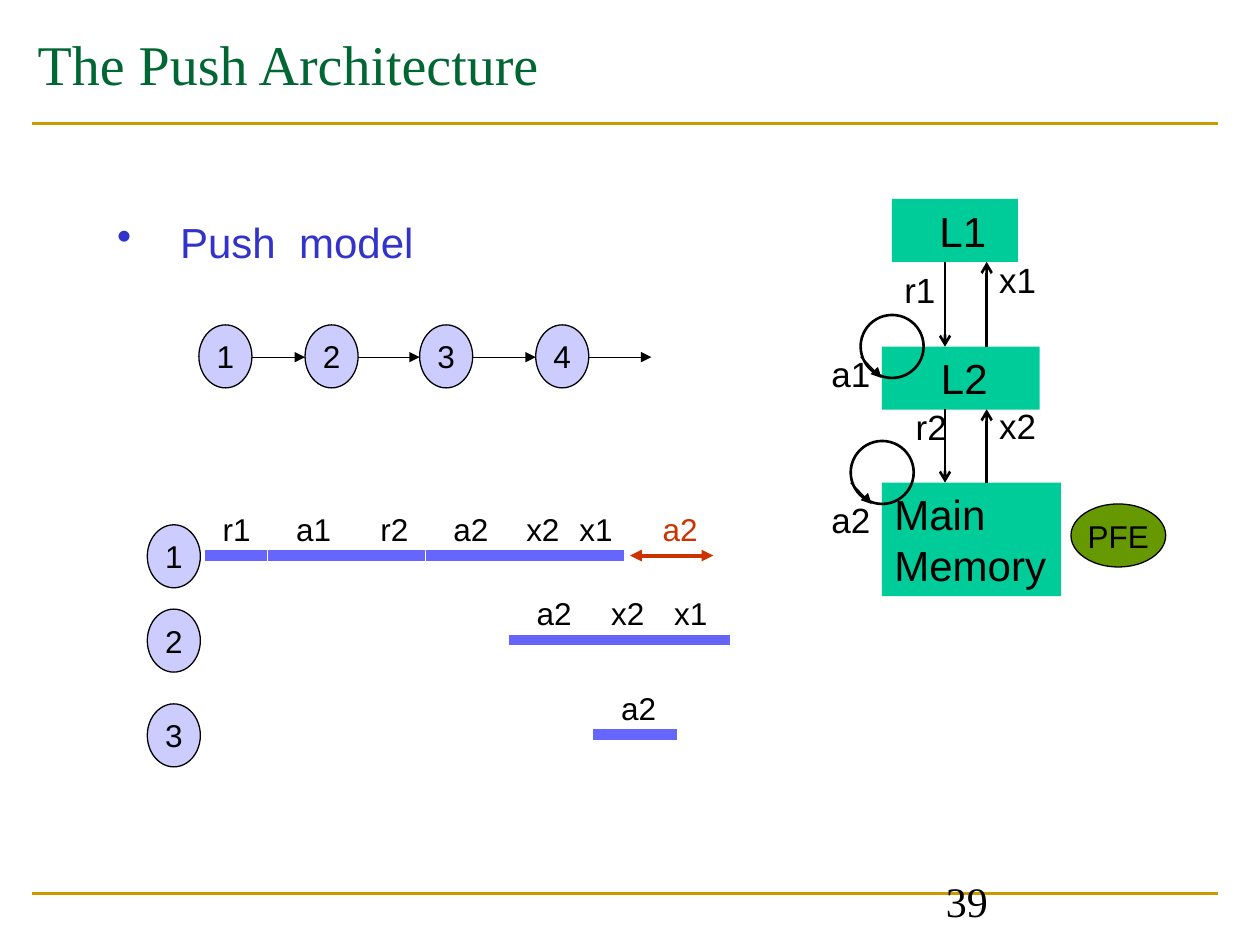
from lxml import etree
from pptx import Presentation
from pptx.dml.color import RGBColor
from pptx.enum.shapes import MSO_CONNECTOR, MSO_SHAPE
from pptx.enum.text import MSO_ANCHOR, PP_ALIGN
from pptx.oxml.ns import qn
from pptx.util import Cm, Pt

RECT, OVAL, STRAIGHT = MSO_SHAPE.RECTANGLE, MSO_SHAPE.OVAL, MSO_CONNECTOR.STRAIGHT
TOP, MIDDLE, BOTTOM = MSO_ANCHOR.TOP, MSO_ANCHOR.MIDDLE, MSO_ANCHOR.BOTTOM
LEFT, CENTER = PP_ALIGN.LEFT, PP_ALIGN.CENTER

BLACK = RGBColor(0x00, 0x00, 0x00)
GOLD = RGBColor(0xCC, 0x99, 0x00)
GREEN = RGBColor(0x00, 0x66, 0x33)
TEAL = RGBColor(0x00, 0xCC, 0x99)
OLIVE = RGBColor(0x66, 0x99, 0x00)
BLUE = RGBColor(0x33, 0x33, 0xCC)
LILAC = RGBColor(0xCC, 0xCC, 0xFF)
VIOLET = RGBColor(0x66, 0x66, 0xFF)
RED = RGBColor(0xCC, 0x33, 0x00)

SANS, SERIF = "Arial", "Times New Roman"
NODE_W, NODE_H = 1.07, 1.27
LOOP = 1.27


def write(sp, text, size=18, font=SANS, color=BLACK, align=LEFT, anchor=TOP,
          wrap=False, indent=0, bullet=None):
    """Put one paragraph of formatted text into a shape."""
    tf = sp.text_frame
    tf.word_wrap = wrap
    tf.vertical_anchor = anchor
    tf.margin_left = Cm(0.25 + indent)
    p = tf.paragraphs[0]
    p.alignment = align
    if bullet:
        pPr = p._p.get_or_add_pPr()
        pPr.set("marL", str(Cm(1.27)))
        pPr.set("indent", str(-Cm(1.27)))
        etree.SubElement(pPr, qn("a:buChar")).set("char", bullet)
    r = p.add_run()
    r.text = text
    r.font.size = Pt(size)
    r.font.name = font
    r.font.color.rgb = color


class Sketch:
    """Draws on one slide; all lengths are in centimetres."""

    label_widths = {"r": 1.07, "a": 1.22, "x": 1.17}

    def __init__(self, slide):
        self.s = slide

    def text(self, x, y, w, h, text, **fmt):
        write(self.s.shapes.add_textbox(Cm(x), Cm(y), Cm(w), Cm(h)), text, **fmt)

    def label(self, x, y, text, size=18, color=BLACK):
        w = self.label_widths[text[0]] * (1.07 if size == 20 else 1)
        self.text(x, y, w, size * 0.056, text, size=size, color=color)

    def shape(self, kind, x, y, w, h, fill=None, line=None, weight=0.75):
        sp = self.s.shapes.add_shape(kind, Cm(x), Cm(y), Cm(w), Cm(h))
        sp.shadow.inherit = False
        if fill is None:
            sp.fill.background()
        else:
            sp.fill.solid()
            sp.fill.fore_color.rgb = fill
        if line is None:
            sp.line.fill.background()
        else:
            sp.line.color.rgb = line
            sp.line.width = Pt(weight)
        return sp

    def box(self, x, y, w, h, text, indent=0):
        write(self.shape(RECT, x, y, w, h, TEAL), text, size=24, wrap=True, indent=indent)

    def oval(self, x, y, text, w=NODE_W, fill=LILAC):
        write(self.shape(OVAL, x, y, w, NODE_H, fill, BLACK), text,
              align=CENTER, anchor=MIDDLE)

    def line(self, x1, y1, x2, y2, color=BLACK, weight=0.75, head=None, tail=None, cap=None):
        c = self.s.shapes.add_connector(STRAIGHT, Cm(x1), Cm(y1), Cm(x2), Cm(y2))
        c.line.color.rgb = color
        c.line.width = Pt(weight)
        spPr = c._element.spPr
        ln = spPr.find(qn("a:ln"))
        if cap:
            ln.set("cap", cap)
        for tag, end in (("a:headEnd", head), ("a:tailEnd", tail)):
            if end:
                etree.SubElement(ln, qn(tag)).set("type", end)
        etree.SubElement(spPr, qn("a:effectLst"))

    def loop(self, x, y):
        self.shape(OVAL, x, y, LOOP, LOOP, line=BLACK, weight=1.5)
        self.line(x, y + 0.84, x + 0.42, y + LOOP, tail="triangle")


def main():
    prs = Presentation()
    prs.slide_width, prs.slide_height = Cm(25.4), Cm(19.05)
    sk = Sketch(prs.slides.add_slide(prs.slide_layouts[6]))

    # Frame: rules, title, page number
    for y in (2.49, 18.01):
        sk.line(0.64, y, 24.56, y, GOLD, 1.5)
    sk.text(0.51, 0, 14.48, 2.54, "The Push Architecture", size=32, font=SERIF,
            color=GREEN, anchor=MIDDLE, wrap=True)
    sk.text(18.82, 17.55, 5.89, 1.24, "39", size=24, font=SERIF, anchor=BOTTOM, wrap=True)
    sk.text(2.11, 4.24, 13.13, 1.17, "Push  model", size=24, color=BLUE,
            wrap=True, bullet="•")

    # Linked list of nodes
    xs = [4.01, 6.15, 8.46, 10.8]
    for i, (x, end) in enumerate(zip(xs, xs[1:] + [13.13]), 1):
        sk.oval(x, 6.55, str(i))
        sk.line(x + NODE_W, 7.2, end, 7.2, tail="triangle")

    # Memory hierarchy
    sk.box(17.98, 4.01, 2.54, 1.27, "L1", indent=0.71)
    sk.box(17.78, 6.99, 3.18, 1.27, "L2", indent=0.94)
    sk.box(17.78, 9.73, 3.61, 2.29, "Main Memory")
    sk.oval(21.59, 10.16, "PFE", w=1.91, fill=OLIVE)
    for top, bottom in ((5.28, 6.99), (8.25, 9.73)):
        sk.line(19.05, top, 19.05, bottom, weight=1.5, tail="arrow")
        sk.line(19.89, bottom, 19.89, top, weight=1.5, tail="arrow")
    sk.loop(17.35, 6.35)
    sk.loop(17.15, 8.89)
    for text, x, y in (("r1", 17.98, 5.28), ("x1", 19.89, 5.08), ("a1", 16.51, 6.99),
                       ("r2", 18.21, 8.05), ("x2", 19.89, 8.03), ("a2", 16.51, 9.93)):
        sk.label(x, y, text, size=20)

    # Timeline: label, label left, bar start, bar end
    rows = [
        (10.16, [("r1", 4.24, 4.24, 5.28), ("a1", 5.72, 5.51, 6.99),
                 ("r2", 7.42, 7.19, 8.46), ("a2", 8.89, 8.69, 10.16),
                 ("x2", 10.36, 10.36, 11.43), ("x1", 11.43, 11.63, 12.47)]),
        (11.86, [("a2", 10.57, 10.36, 11.84), ("x2", 12.07, 12.07, 13.11),
                 ("x1", 13.34, 13.34, 14.61)]),
        (13.77, [("a2", 12.27, 12.07, 13.54)]),
    ]
    for i, (y, steps) in enumerate(rows, 1):
        sk.oval(2.97, y + 0.42, str(i))
        for text, x, start, end in steps:
            sk.line(start, y + 1.04, end, y + 1.04, VIOLET, 6, cap="sq")
            sk.label(x, y, text)

    # Gap before the next push
    sk.line(12.7, 11.2, 14.38, 11.2, RED, 2.25, head="triangle", tail="triangle")
    sk.label(13.11, 10.16, "a2", color=RED)

    prs.save("out.pptx")


if __name__ == "__main__":
    main()
